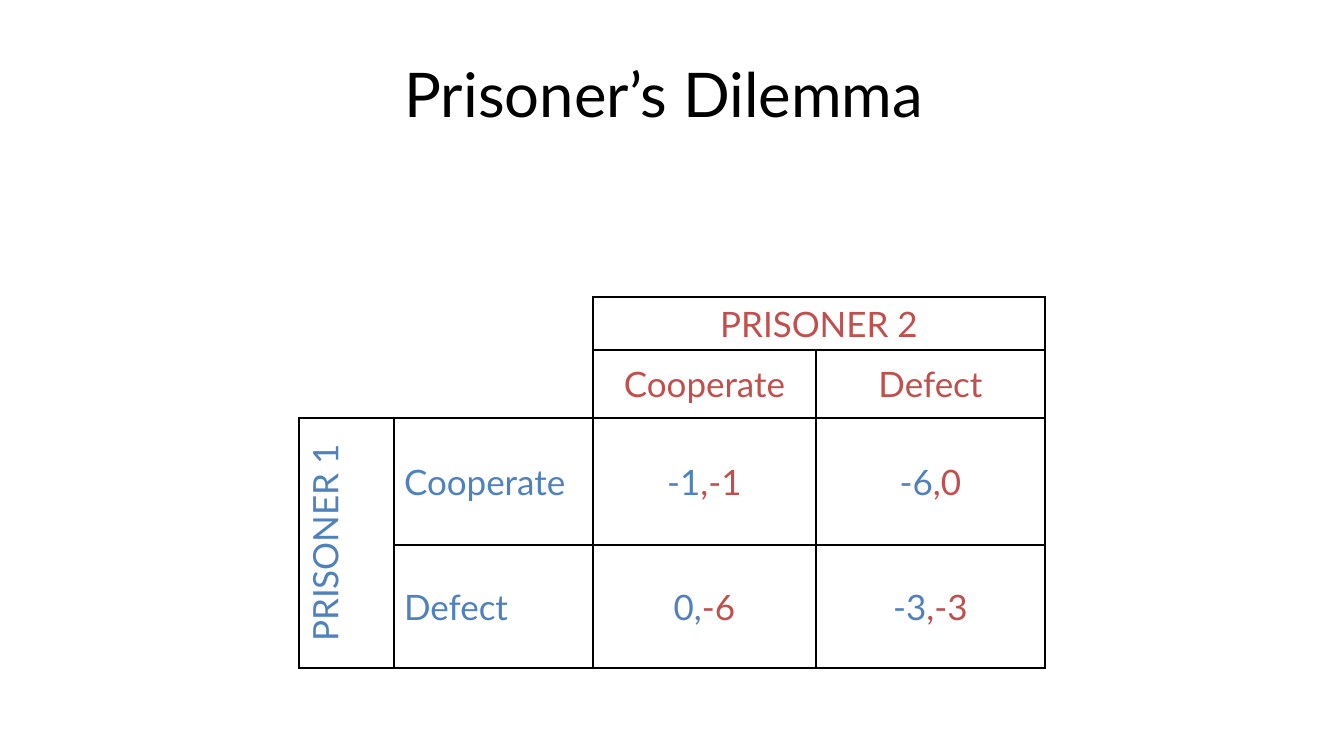
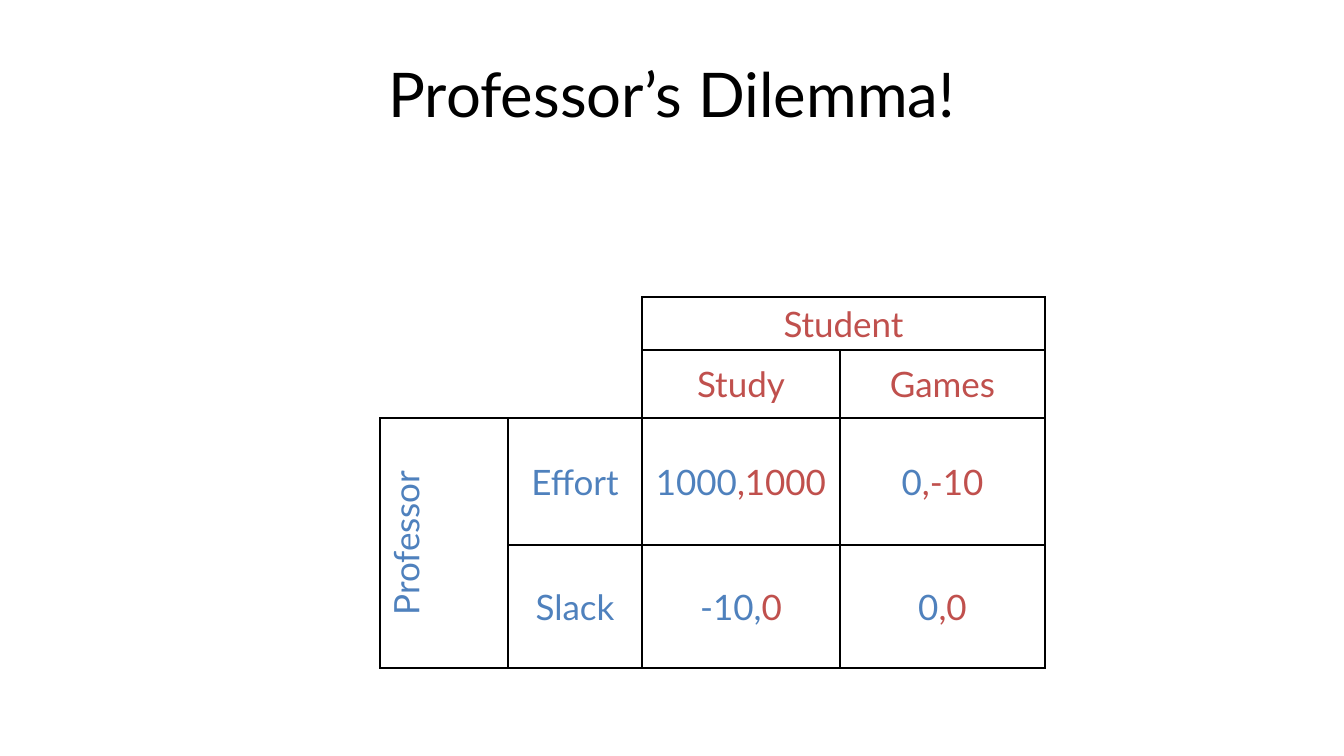
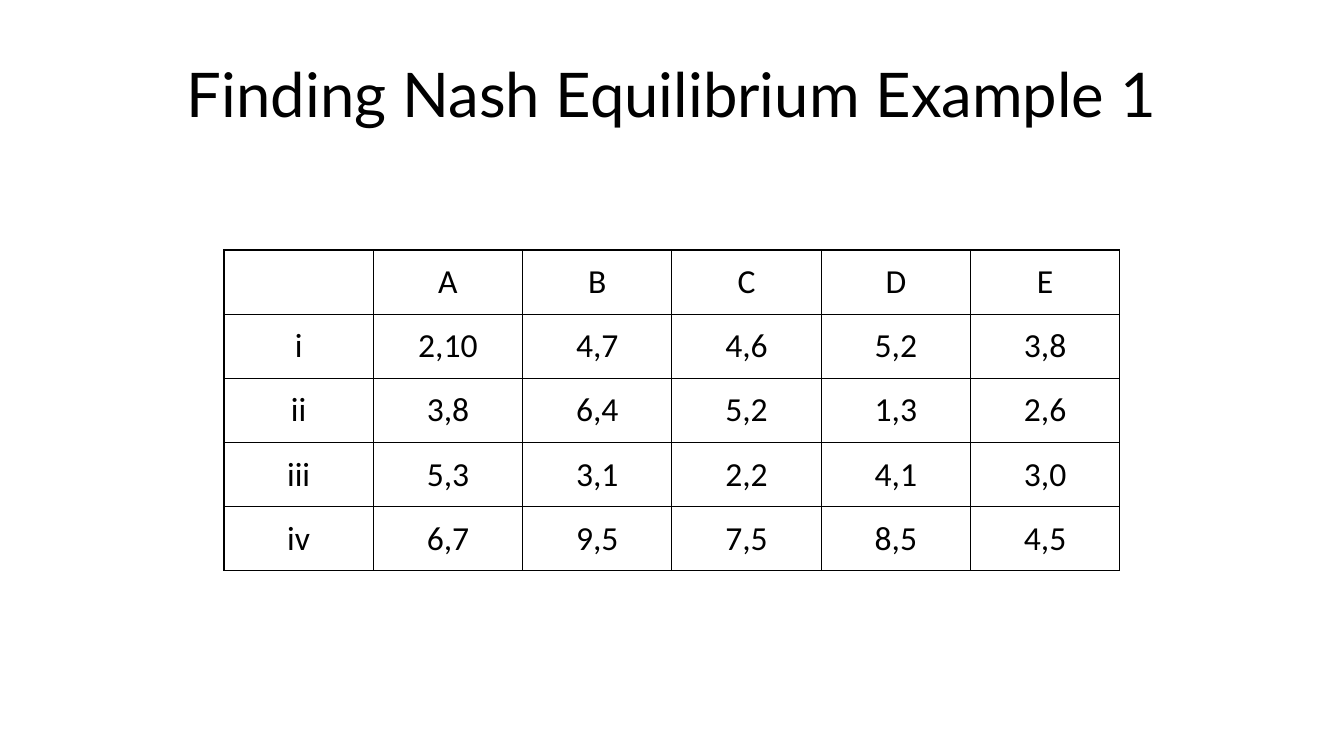
from lxml import etree
from pptx import Presentation
from pptx.dml.color import RGBColor
from pptx.enum.text import MSO_ANCHOR, PP_ALIGN
from pptx.oxml import parse_xml
from pptx.oxml.ns import nsdecls, qn
from pptx.util import Pt

PX = 9071  # EMU in one pixel
MIDDLE = MSO_ANCHOR.MIDDLE
CENTER, LEFT = PP_ALIGN.CENTER, PP_ALIGN.LEFT
BLACK, RED, BLUE = "000000", "C0504D", "4F81BD"
PLAIN = "{2D5ABB26-0587-4C30-8999-92F81FD0307C}"  # table style without grid


def style(run, face, size, color):
    run.font.name = face
    run.font.size = Pt(size)
    run.font.color.rgb = RGBColor.from_string(color)


def border(cell, sides):
    """Draw a thin black line on the given sides, in the order L, R, T, B."""
    for side in sides:
        line = parse_xml(
            f'<a:ln{side} {nsdecls("a")} w="12700"><a:solidFill>'
            f'<a:srgbClr val="{BLACK}"/></a:solidFill></a:ln{side}>')
        cell._tc.get_or_add_tcPr().append(line)


deck = Presentation()
deck.slide_width, deck.slide_height = 1344 * PX, 756 * PX
blank = deck.slide_layouts[6]

# In a game, "|" parts the row player's payoff from the column player's.
games = [
    {"title": "Prisoner’s Dilemma ", "left": 299, "align": LEFT,
     "widths": [95, 199, 223, 229],
     "rows": [["", "", "PRISONER 2", ""],
              ["", "", "Cooperate", "Defect"],
              ["PRISONER 1", "Cooperate", "-1|,-1", "-6|,0"],
              ["", "Defect", "0,|-6", "-3|,-3"]]},
    {"title": "Professor’s Dilemma!", "left": 380, "align": CENTER,
     "widths": [128, 134, 198, 205],
     "rows": [["", "", "Student", ""],
              ["", "", "Study", "Games"],
              ["Professor", "Effort", "1000|,1000", "0|,-10"],
              ["", "Slack", "-10,|0", "0|,0"]]},
]
for game in games:
    game.update(top=297, heights=[53, 68, 127, 123], face="Lato", size=25,
                merges=[(0, 0, 1, 1), (0, 2, 0, 3), (2, 0, 3, 0)])

nash = {"title": "Finding Nash Equilibrium Example 1", "left": 224, "top": 250,
        "align": CENTER, "widths": [896 / 6] * 6, "heights": [321 / 5] * 5,
        "face": "Calibri", "size": 24, "merges": [],
        "rows": [["", "A", "B", "C", "D", "E"],
                 ["i", "2,10", "4,7", "4,6", "5,2", "3,8"],
                 ["ii", "3,8", "6,4", "5,2", "1,3", "2,6"],
                 ["iii", "5,3", "3,1", "2,2", "4,1", "3,0"],
                 ["iv", "6,7", "9,5", "7,5", "8,5", "4,5"]]}

for page in games + [nash]:
    slide = deck.slides.add_slide(blank)
    frame = slide.shapes.add_textbox(67 * PX, 30 * PX, 1210 * PX, 126 * PX).text_frame
    frame.word_wrap = True
    frame.vertical_anchor = MIDDLE
    frame.text = page["title"]
    frame.paragraphs[0].alignment = CENTER
    style(frame.paragraphs[0].runs[0], "Lato", 44, BLACK)

    widths, heights = page["widths"], page["heights"]
    table = slide.shapes.add_table(
        len(heights), len(widths), page["left"] * PX, page["top"] * PX,
        round(sum(widths) * PX), round(sum(heights) * PX)).table
    table.first_row = table.horz_banding = False
    table._tbl.tblPr.find(qn("a:tableStyleId")).text = PLAIN
    for col, width in zip(table.columns, widths):
        col.width = round(width * PX)
    for row, height in zip(table.rows, heights):
        row.height = round(height * PX)
    for top, left, bottom, right in page["merges"]:
        table.cell(top, left).merge(table.cell(bottom, right))

    is_game = page in games
    for r, row in enumerate(page["rows"]):
        for c, text in enumerate(row):
            cell = table.cell(r, c)
            corner = is_game and r < 2 and c < 2
            border(cell, "RB" if corner else "LRTB")
            cell.fill.background()
            cell.vertical_anchor = MIDDLE
            if not text:
                continue
            if is_game and c == 0:
                cell._tc.tcPr.set("vert", "vert270")
            para = cell.text_frame.paragraphs[0]
            para.alignment = page["align"] if c == 1 else CENTER
            if not is_game:
                colors = [BLACK]
            elif r < 2:
                colors = [RED]
            else:
                colors = [BLUE, RED]
            for part, color in zip(text.split("|"), colors):
                run = para.add_run()
                run.text = part
                style(run, page["face"], page["size"], color)

deck.save("out.pptx")
